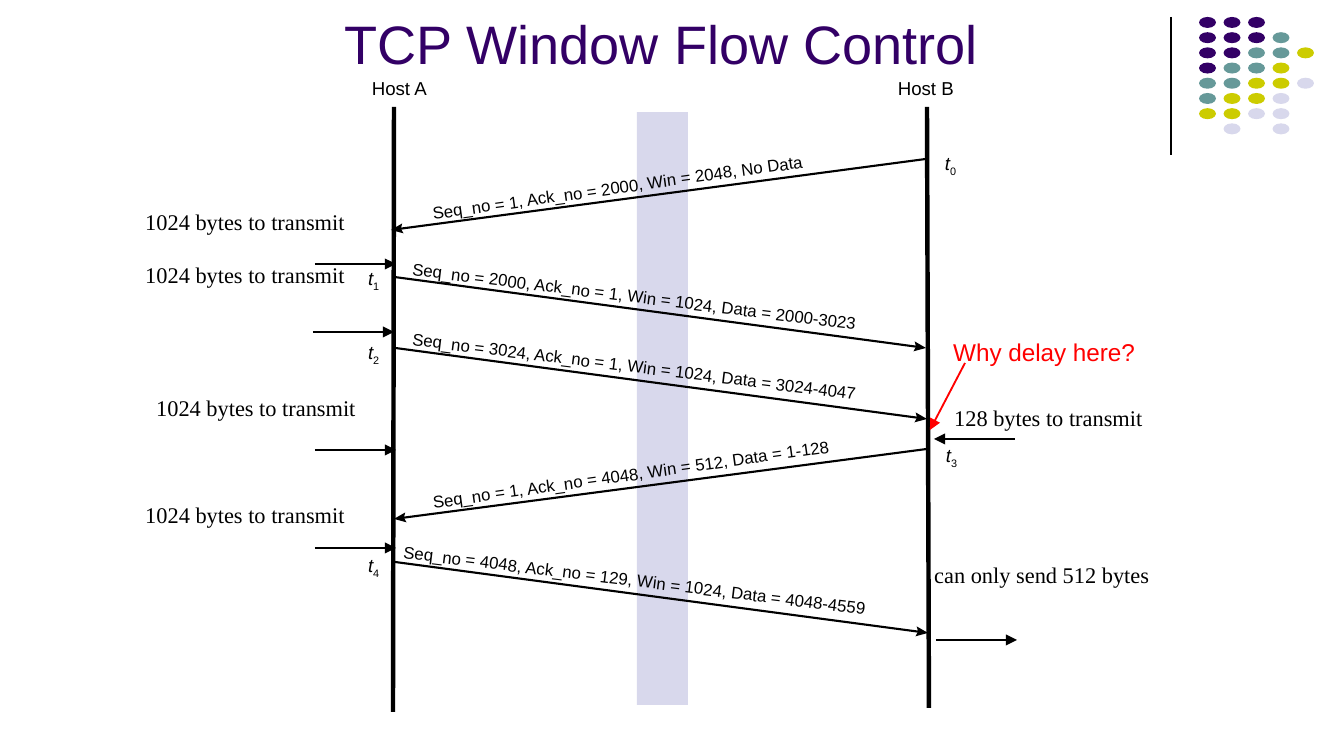
import math

import pptx
import pptx.util
import pptx.dml.color
import pptx.enum.shapes
import pptx.enum.text
import pptx.oxml
import pptx.oxml.ns

PX = 914400 / 134.4
SLIDE = (1344, 756)
COLORS = {"purple": "330066", "teal": "669999", "yellow": "CCCC00",
          "lilac": "D8D8EC", "black": "000000", "red": "FF0000"}
SANS, SERIF = "Arial", "Times New Roman"

TITLE = ("TCP Window Flow Control", (330, 3, 663, 79))
DOT_COLORS = {"P": "purple", "T": "teal", "Y": "yellow", "L": "lilac"}
DOT_ROWS = ["PPP", "PPPT", "PPTTY", "PTTY", "TTYYL", "TYYL", "YYLL", " L L"]
DIVIDER = (1171, 17, 1171, 155)
BAND = (637, 112, 51, 593)

HOSTS = [  # name, label left, lifeline
    ("Host A", 372, (394, 107, 393, 712)),
    ("Host B", 898, (927, 107, 929, 708)),
]
EVENTS = [  # text, box left, top, width, line spacing, arrow
    ("1024 bytes to transmit", 132, 220, 241, 0.2, (315, 264, 396, 264)),
    ("1024 bytes to transmit", 132, 273, 277, 0.2, (313, 332, 394, 332)),
    ("1024 bytes to transmit", 143, 406, 229, 0.2, (315, 450, 396, 450)),
    ("128 bytes to transmit", 941, 416, 276, 0.2, (1015, 439, 934, 439)),
    ("1024 bytes to transmit", 132, 513, 241, 0.2, (315, 548, 396, 548)),
    ("can only send 512 bytes", 921, 568, 310, 0.4, (936, 640, 1017, 640)),
]
SEGMENTS = [  # text, box left, top, width, rotation, arrow
    ("Seq_no = 1, Ack_no = 2000, Win = 2048, No Data",
     431, 177, 374, -8, (926, 159, 391, 230)),
    ("Seq_no = 2000, Ack_no = 1, Win = 1024, Data = 2000-3023",
     411, 286, 448, 7, (394, 277, 926, 348)),
    ("Seq_no = 3024, Ack_no = 1, Win = 1024, Data = 3024-4047",
     411, 356, 448, 7, (395, 348, 927, 419)),
    ("Seq_no = 1, Ack_no = 4048, Win = 512, Data = 1-128",
     431, 464, 401, -8, (927, 449, 394, 519)),
    ("Seq_no = 4048, Ack_no = 129, Win = 1024, Data = 4048-4559",
     402, 570, 466, 7, (395, 562, 928, 633)),
]
TIMES = [("0", 945, 152), ("1", 368, 267), ("2", 368, 341),
         ("3", 946, 444), ("4", 368, 554)]
QUESTION = ("Why delay here?", (940, 331, 208, 43), (965, 363, 930, 430))


def px(*values):
    return [round(v * PX) for v in values]


def rgb(name):
    return pptx.dml.color.RGBColor.from_string(COLORS[name])


def add_run(p, text, size, font=SANS, color="black"):
    r = p.add_run()
    r.text = text
    r.font.size = pptx.util.Pt(size)
    r.font.name = font
    r.font.color.rgb = rgb(color)
    return r


def add_box(s, box, inset=(0, 0), wrap=False):
    """Add a text box that grows with its text; return shape and paragraph."""
    sp = s.shapes.add_textbox(*px(*box))
    tf = sp.text_frame
    tf.word_wrap = wrap
    tf.auto_size = pptx.enum.text.MSO_AUTO_SIZE.SHAPE_TO_FIT_TEXT
    tf.margin_left = tf.margin_right = pptx.util.Inches(inset[0])
    tf.margin_top = tf.margin_bottom = pptx.util.Inches(inset[1])
    return sp, tf.paragraphs[0]


def add_line(s, ends, width, color="black", arrow=False):
    cx = s.shapes.add_connector(pptx.enum.shapes.MSO_CONNECTOR.STRAIGHT, *px(*ends))
    cx.line.width = pptx.util.Pt(width)
    cx.line.color.rgb = rgb(color)
    if arrow:
        ln = cx.line._get_or_add_ln()
        ln.append(pptx.oxml.parse_xml(
            '<a:tailEnd %s type="triangle"/>' % pptx.oxml.ns.nsdecls("a")))
    cx._element.spPr.append(pptx.oxml.parse_xml(
        "<a:effectLst %s/>" % pptx.oxml.ns.nsdecls("a")))


def paint(sp, color):
    sp.shadow.inherit = False
    sp.fill.solid()
    sp.fill.fore_color.rgb = rgb(color)
    sp.line.fill.background()


def add_filled(s, kind, box, color):
    paint(s.shapes.add_shape(kind, *px(*box)), color)


def add_segment_arrow(s, x1, y1, x2, y2, length=12, half=5, notch=10):
    """Draw a line ending in a notched head whose tip is at x2, y2."""
    angle = math.atan2(y2 - y1, x2 - x1)
    cos, sin = math.cos(angle), math.sin(angle)

    def behind(back, side):
        return x2 - back * cos - side * sin, y2 - back * sin + side * cos

    add_line(s, (x1, y1, *behind(notch, 0)), 1.13)
    points = [px(*behind(*at)) for at in
              [(length, half), (notch, 0), (length, -half)]]
    fb = s.shapes.build_freeform(*px(x2, y2))
    fb.add_line_segments(points, close=True)
    paint(fb.convert_to_shape(), "black")


def main():
    prs = pptx.Presentation()
    prs.slide_width, prs.slide_height = px(*SLIDE)
    s = prs.slides.add_slide(prs.slide_layouts[5])
    shape = pptx.enum.shapes.MSO_SHAPE

    add_line(s, DIVIDER, 0.75)
    for row, codes in enumerate(DOT_ROWS):
        for col, code in enumerate(codes):
            if code in DOT_COLORS:
                add_filled(s, shape.OVAL,
                           (1199 + 24.5 * col, 17 + 15.2 * row, 17, 11),
                           DOT_COLORS[code])

    text, box = TITLE
    title = s.shapes.title
    title.left, title.top, title.width, title.height = px(*box)
    title.text_frame.word_wrap = False
    title.text_frame.auto_size = pptx.enum.text.MSO_AUTO_SIZE.NONE
    add_run(title.text_frame.paragraphs[0], text, 29, color="purple")

    for text, x, y, w, spacing, arrow in EVENTS:
        add_line(s, arrow, 1, arrow=True)
        _, p = add_box(s, (x, y, w, 19), (0.1, 0.05), wrap=True)
        p.line_spacing = spacing
        add_run(p, text, 12, SERIF)

    add_filled(s, shape.RECTANGLE, BAND, "lilac")
    for name, x, lifeline in HOSTS:
        _, p = add_box(s, (x, 77, 56, 23))
        add_run(p, name, 10)
        add_line(s, lifeline, 2.38)

    for text, x, y, w, rotation, arrow in SEGMENTS:
        add_segment_arrow(s, *arrow)
        sp, p = add_box(s, (x, y, w, 20))
        sp.rotation = rotation
        add_run(p, text, 9)

    for index, x, y in TIMES:
        _, p = add_box(s, (x, y, 14, 26))
        add_run(p, "t", 10).font.italic = True
        add_run(p, index, 10).font._element.set("baseline", "-25000")

    text, box, arrow = QUESTION
    add_line(s, arrow, 1, "red", arrow=True)
    _, p = add_box(s, box, (0.1, 0.05))
    add_run(p, text, 13, color="red")

    prs.save("out.pptx")


if __name__ == "__main__":
    main()
